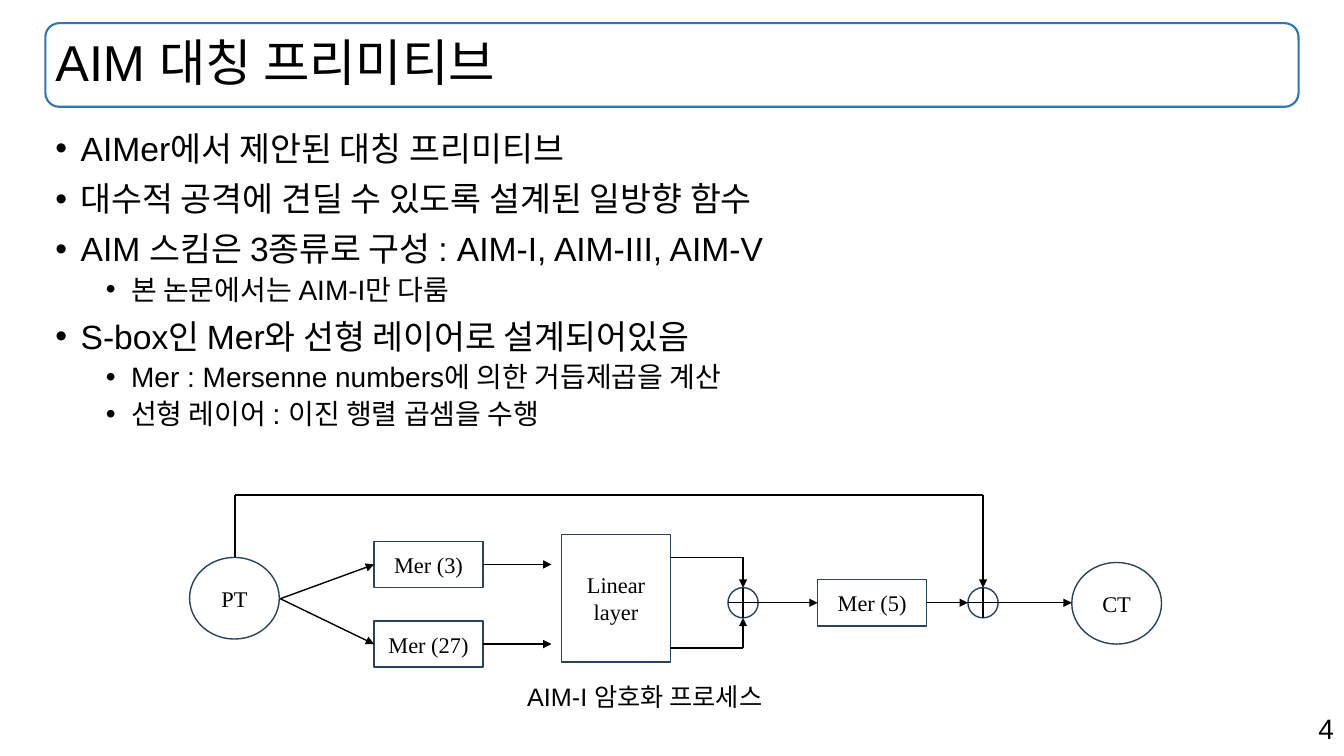
from lxml import etree
from pptx import Presentation
from pptx.dml.color import RGBColor
from pptx.enum import shapes, text
from pptx.oxml.ns import qn
from pptx.util import Inches, Pt

# Content
TITLE = "AIM 대칭 프리미티브"
BULLETS = [  # level, wording
    (0, "AIMer에서 제안된 대칭 프리미티브"),
    (0, "대수적 공격에 견딜 수 있도록 설계된 일방향 함수"),
    (0, "AIM 스킴은 3종류로 구성 : AIM-I, AIM-III, AIM-V"),
    (1, "본 논문에서는 AIM-I만 다룸"),
    (0, "S-box인 Mer와 선형 레이어로 설계되어있음"),
    (1, "Mer : Mersenne numbers에 의한 거듭제곱을 계산"),
    (1, "선형 레이어 : 이진 행렬 곱셈을 수행"),
]
CAPTION = "AIM-I 암호화 프로세스"
PAGE_NUMBER = "4"
LEVELS = [(24, 0.25, 10), (20, 0.75, 5)]  # size, indent, space before

OVAL, RECT = shapes.MSO_SHAPE.OVAL, shapes.MSO_SHAPE.RECTANGLE
NODES = {  # wording: kind, left, top, width, height
    "CT": (OVAL, 10.63, 5.58, 0.89, 0.81),
    "PT": (OVAL, 1.88, 5.53, 0.89, 0.81),
    "Mer (3)": (RECT, 3.71, 5.37, 1.08, 0.46),
    "Mer (27)": (RECT, 3.71, 6.16, 1.08, 0.46),
    "Linear\nlayer": (RECT, 5.57, 5.3, 1.08, 1.27),
    "Mer (5)": (RECT, 8.11, 5.75, 1.08, 0.46),
}
AXIS, RADIUS = 5.98, 0.15  # centre line of the flow, radius of an XOR sign
XOR_1, XOR_2 = 7.37, 9.75  # XOR centres
UPPER, LOWER = 5.53, 6.43  # outputs of the linear layer
FEED_X, FEED_Y = 2.33, 4.91  # PT line over the diagram
LAYER_RIGHT = 6.65
PT_OUT = (2.78, 5.94)
TOP, LEFT, RIGHT = 0, 1, 3
# Each end is a point or a (node, side) pair; the flag adds an arrowhead
LINKS = [
    (PT_OUT, ("Mer (3)", LEFT), True),
    (PT_OUT, ("Mer (27)", LEFT), True),
    (("Mer (3)", RIGHT), (5.47, 5.6), True),
    (("Mer (27)", RIGHT), (5.47, 6.39), True),
    ((XOR_1, UPPER), (XOR_1, AXIS - RADIUS), True),
    ((XOR_1, LOWER), (XOR_1, AXIS + RADIUS), True),
    ((XOR_1, UPPER), (LAYER_RIGHT, UPPER), False),
    ((XOR_1, LOWER), (LAYER_RIGHT, LOWER), False),
    ((XOR_1 + RADIUS, AXIS), ("Mer (5)", LEFT), True),
    (("Mer (5)", RIGHT), (XOR_2 - RADIUS, AXIS), True),
    ((XOR_2 + RADIUS, AXIS), (10.63, AXIS), True),
    ((XOR_2, FEED_Y), (XOR_2, AXIS - RADIUS), True),
    ((XOR_2, FEED_Y), (FEED_X, FEED_Y), False),
    ((FEED_X, FEED_Y), (FEED_X, 5.53), False),
]
BLACK, NAVY, BLUE = "000000", "28445D", "2E75B6"

deck = Presentation()
deck.slide_width, deck.slide_height = Inches(13.33), Inches(7.5)
slide = deck.slides.add_slide(deck.slide_layouts[1])


def color(target, value):
    target.rgb = RGBColor.from_string(value)


def place(shape, left, top, width, height):
    shape.left, shape.top = Inches(left), Inches(top)
    shape.width, shape.height = Inches(width), Inches(height)


def format_runs(para, size, font="Arial"):
    for span in para.runs:
        span.font.size, span.font.name = Pt(size), font
        color(span.font.color, BLACK)


def add_outline(kind, left, top, width, height, line=NAVY, weight=1):
    shape = slide.shapes.add_shape(kind, *map(Inches, (left, top, width, height)))
    shape.shadow.inherit = False
    shape.fill.background()
    color(shape.line.color, line)
    shape.line.width = Pt(weight)
    return shape


def add_label(wording, left, top, width, height, size, align):
    box = slide.shapes.add_textbox(*map(Inches, (left, top, width, height)))
    box.text_frame.word_wrap = True
    box.text_frame.text = wording
    para = box.text_frame.paragraphs[0]
    para.alignment = align
    format_runs(para, size)


def add_link(start, end, arrow=False):
    ends = [(0, 0) if isinstance(point[0], str) else point for point in (start, end)]
    link = slide.shapes.add_connector(
        shapes.MSO_CONNECTOR.STRAIGHT, *(Inches(v) for point in ends for v in point))
    if isinstance(start[0], str):
        link.begin_connect(nodes[start[0]], start[1])
    if isinstance(end[0], str):
        link.end_connect(nodes[end[0]], end[1])
    color(link.line.color, BLACK)
    link.line.width = Pt(1)
    if arrow:
        etree.SubElement(link.line._get_or_add_ln(), qn("a:tailEnd"), type="triangle")
    etree.SubElement(link.element.spPr, qn("a:effectLst"))


# Title in its rounded frame
title, body = slide.placeholders
frame = add_outline(shapes.MSO_SHAPE.ROUNDED_RECTANGLE, 0.45, 0.23, 12.43, 0.83, BLUE, 1.5)
title.element.addprevious(frame.element)
place(title, 0.45, 0.23, 12.43, 0.83)
title.text_frame.text = TITLE
title.text_frame.auto_size = text.MSO_AUTO_SIZE.NONE
title.text_frame.vertical_anchor = text.MSO_ANCHOR.MIDDLE
heading = title.text_frame.paragraphs[0]
heading.alignment, heading.line_spacing = text.PP_ALIGN.LEFT, 0.9
format_runs(heading, 36)

# Bullet list
place(body, 0.45, 1.26, 12.43, 6.13)
body.text_frame.text = "\n".join(wording for _, wording in BULLETS)
body.text_frame.auto_size = text.MSO_AUTO_SIZE.NONE
for number, (para, (level, _)) in enumerate(zip(body.text_frame.paragraphs, BULLETS)):
    size, indent, space = LEVELS[level]
    para.level = level
    props = para._p.get_or_add_pPr()
    props.set("marL", str(Inches(indent)))
    props.set("indent", str(-Inches(0.25)))
    etree.SubElement(props, qn("a:buFont"), typeface="Arial")
    etree.SubElement(props, qn("a:buChar"), char="•")
    para.line_spacing = 0.9
    para.space_before = Pt(space if number else 0)
    format_runs(para, size)

# Diagram nodes
nodes = {}
for wording, (kind, *area) in NODES.items():
    node = nodes[wording] = add_outline(kind, *area)
    node.text_frame.text = wording
    node.text_frame.vertical_anchor = text.MSO_ANCHOR.MIDDLE
    for para in node.text_frame.paragraphs:
        para.alignment = text.PP_ALIGN.CENTER
        format_runs(para, 16, "Times New Roman")

# XOR signs
for center in (XOR_1, XOR_2):
    add_outline(OVAL, center - RADIUS, AXIS - RADIUS, 2 * RADIUS, 2 * RADIUS)
    add_link((center, AXIS - RADIUS), (center, AXIS + RADIUS))
    add_link((center - RADIUS, AXIS), (center + RADIUS, AXIS))

# Flow lines
for start, end, arrow in LINKS:
    add_link(start, end, arrow)

# Caption and page number
add_label(CAPTION, 5.13, 6.71, 3.9, 0.4, 18, text.PP_ALIGN.LEFT)
add_label(PAGE_NUMBER, 9.43, 7.01, 3.9, 0.44, 20, text.PP_ALIGN.RIGHT)

deck.save("out.pptx")
